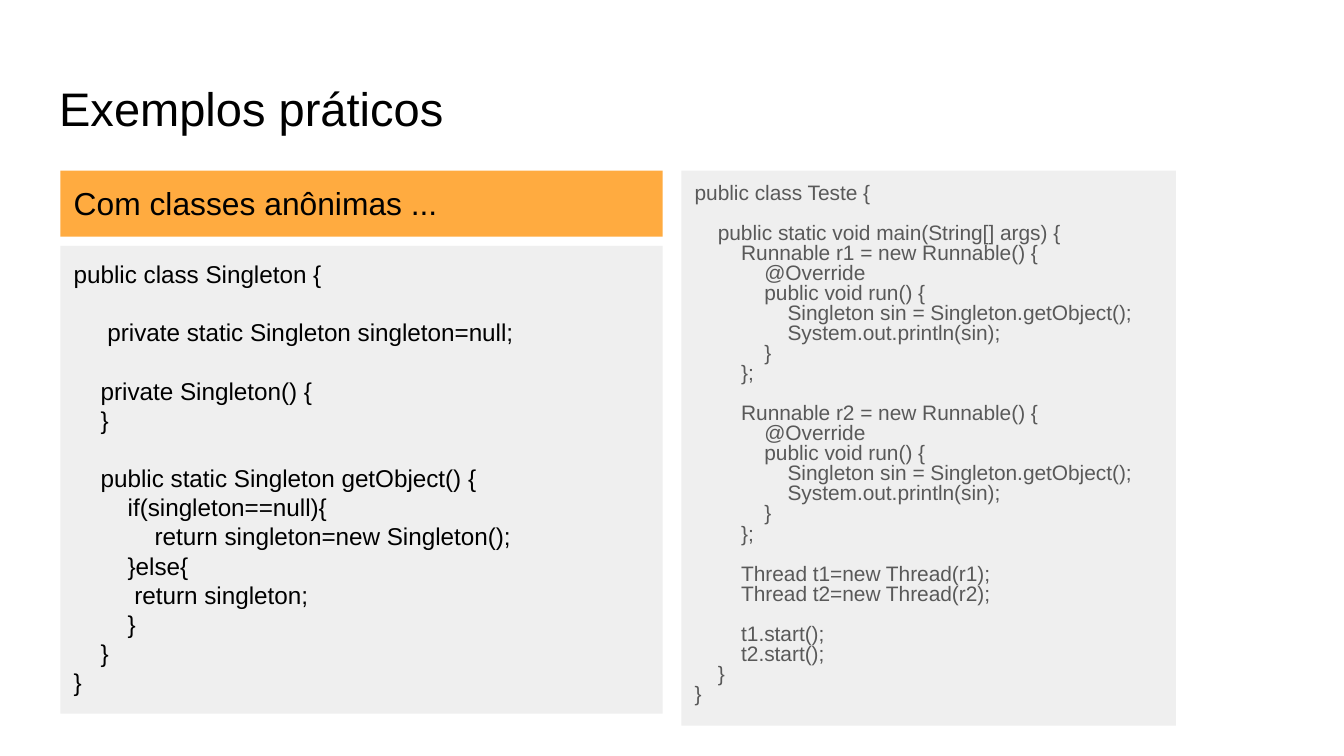
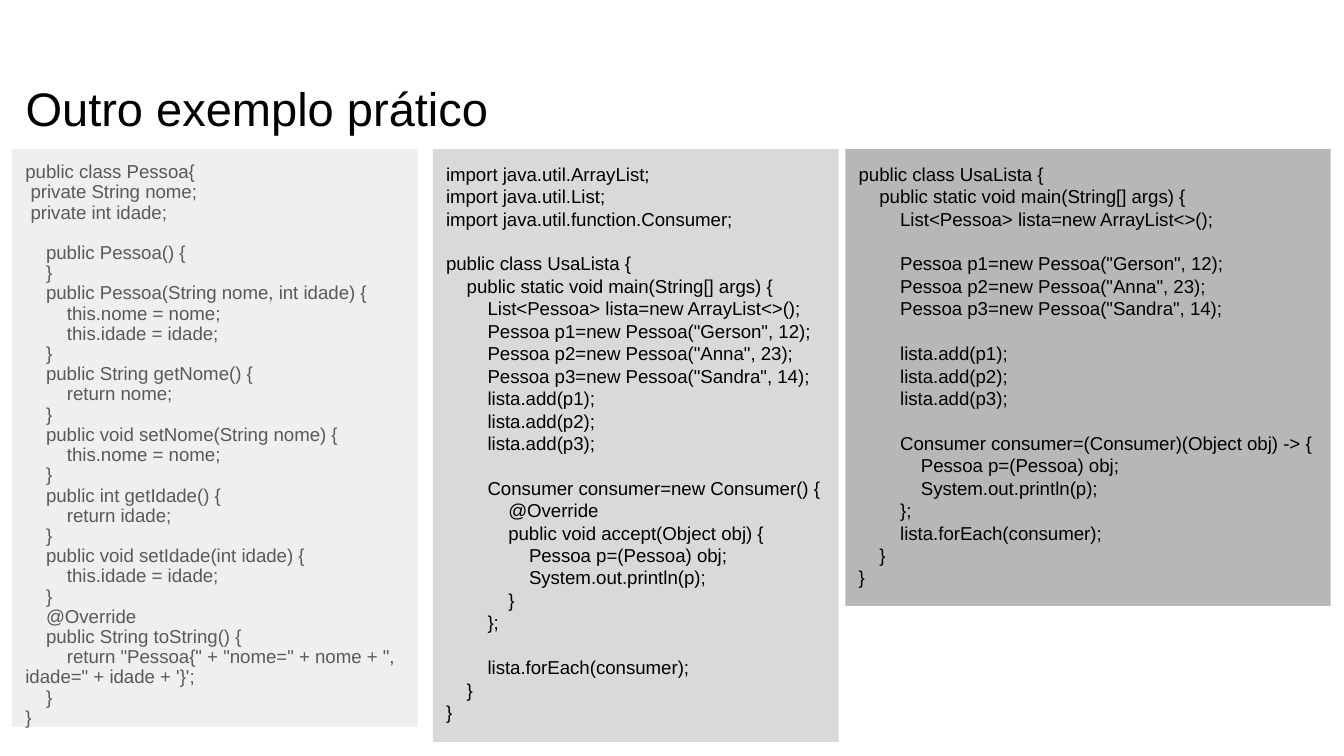
from pptx import Presentation
from pptx import util as u
from pptx.dml.color import RGBColor
from pptx.enum import shapes, text

BLACK = RGBColor(0x00, 0x00, 0x00)
GREY_TEXT = RGBColor(0x59, 0x59, 0x59)
ORANGE = RGBColor(0xFF, 0xAB, 0x40)
LIGHT = RGBColor(0xEF, 0xEF, 0xEF)
MEDIUM = RGBColor(0xD9, 0xD9, 0xD9)
DARK = RGBColor(0xB7, 0xB7, 0xB7)

FONT = "Arial"
LINE_HEIGHT = 1.2    # of the font size
SPACE_WIDTH = 0.278  # of the font size
INSET = u.Inches(0.1)

prs = Presentation()
prs.slide_width, prs.slide_height = u.Inches(10), u.Inches(5.625)


def write(shape, content, size, color=BLACK, spacing=1.0):
    """Turn leading spaces into first-line indents and empty lines into spacing."""
    frame = shape.text_frame
    frame.word_wrap = True
    frame.auto_size = text.MSO_AUTO_SIZE.NONE
    frame.vertical_anchor = text.MSO_ANCHOR.TOP
    frame.margin_left = frame.margin_right = INSET
    frame.margin_top = frame.margin_bottom = INSET
    paragraph, gap = frame.paragraphs[0], 0
    for line in content.strip().splitlines():
        words = line.strip()
        if not words:
            gap += size * LINE_HEIGHT * spacing
            continue
        if paragraph.runs:
            paragraph = frame.add_paragraph()
        paragraph.alignment = text.PP_ALIGN.LEFT
        paragraph.line_spacing = spacing
        paragraph.space_before = u.Pt(gap)
        indent = (len(line) - len(words)) * SPACE_WIDTH * size
        paragraph._p.get_or_add_pPr().set("indent", str(int(u.Pt(indent))))
        run = paragraph.add_run()
        run.text = words
        run.font.name, run.font.size = FONT, u.Pt(size)
        run.font.color.rgb = color
        gap = 0


def add_slide(title, title_left, panels):
    slide = prs.slides.add_slide(prs.slide_layouts[5])
    heading = slide.shapes.title
    heading.left, heading.top = u.Inches(title_left), u.Inches(0.49)
    heading.width, heading.height = u.Inches(9.32), u.Inches(0.63)
    write(heading, title, 25.2)
    for box, fill, content, style in panels:
        panel = slide.shapes.add_shape(
            shapes.MSO_SHAPE.RECTANGLE, *(u.Inches(length) for length in box))
        panel.shadow.inherit = False
        panel.fill.solid()
        panel.fill.fore_color.rgb = fill
        panel.line.fill.background()
        write(panel, content, **style)


SINGLETON = """
public class Singleton {

     private static Singleton singleton=null;

    private Singleton() {
    }

    public static Singleton getObject() {
        if(singleton==null){
            return singleton=new Singleton();
        }else{
         return singleton;
        }
    }
}
"""

RUNNABLES = "\n".join(f"""
        Runnable {name} = new Runnable() {{
            @Override
            public void run() {{
                Singleton sin = Singleton.getObject();
                System.out.println(sin);
            }}
        }};
""".strip("\n") + "\n" for name in ("r1", "r2"))

TESTE = f"""
public class Teste {{

    public static void main(String[] args) {{
{RUNNABLES}
        Thread t1=new Thread(r1);
        Thread t2=new Thread(r2);

        t1.start();
        t2.start();
    }}
}}
"""

PESSOA = """
public class Pessoa{
 private String nome;
 private int idade;

    public Pessoa() {
    }
    public Pessoa(String nome, int idade) {
        this.nome = nome;
        this.idade = idade;
    }
    public String getNome() {
        return nome;
    }
    public void setNome(String nome) {
        this.nome = nome;
    }
    public int getIdade() {
        return idade;
    }
    public void setIdade(int idade) {
        this.idade = idade;
    }
    @Override
    public String toString() {
        return "Pessoa{" + "nome=" + nome + ", idade=" + idade + '}';
    }
}
"""

MAIN_START = """
public class UsaLista {
    public static void main(String[] args) {
        List<Pessoa> lista=new ArrayList<>();
"""

PEOPLE = """        Pessoa p1=new Pessoa("Gerson", 12);
        Pessoa p2=new Pessoa("Anna", 23);
        Pessoa p3=new Pessoa("Sandra", 14);
"""

ADDITIONS = """        lista.add(p1);
        lista.add(p2);
        lista.add(p3);

"""

MAIN_END = """        lista.forEach(consumer);
    }
}
"""

IMPORTS = """
import java.util.ArrayList;
import java.util.List;
import java.util.function.Consumer;
"""

ANONYMOUS_CONSUMER = """        Consumer consumer=new Consumer() {
            @Override
            public void accept(Object obj) {
                Pessoa p=(Pessoa) obj;
                System.out.println(p);
            }
        };

"""

LAMBDA_CONSUMER = """        Consumer consumer=(Consumer)(Object obj) -> {
            Pessoa p=(Pessoa) obj;
            System.out.println(p);
        };
"""

anonymous_version = IMPORTS + MAIN_START + PEOPLE + ADDITIONS + ANONYMOUS_CONSUMER + MAIN_END
lambda_version = MAIN_START + "\n" + PEOPLE + "\n" + ADDITIONS + LAMBDA_CONSUMER + MAIN_END

left, width, top = 0.45, 4.48, 1.27
add_slide("Exemplos práticos", 0.34, [
    ((5.07, top, 3.68, 4.13), LIGHT, TESTE,
     dict(size=11.2, color=GREY_TEXT, spacing=0.8)),
    ((left, top, width, 0.49), ORANGE, "Com classes anônimas ...", dict(size=17)),
    ((left, 1.83, width, 3.48), LIGHT, SINGLETON, dict(size=13)),
])

left, width, top = 0.09, 3.02, 1.11
add_slide("Outro exemplo prático", left, [
    ((left, top, width, 4.3), LIGHT, PESSOA,
     dict(size=10, color=GREY_TEXT, spacing=0.9)),
    ((3.22, top, width, 4.41), MEDIUM, anonymous_version, dict(size=10)),
    ((6.29, top, 3.61, 3.4), DARK, lambda_version, dict(size=10)),
])

prs.save("out.pptx")
